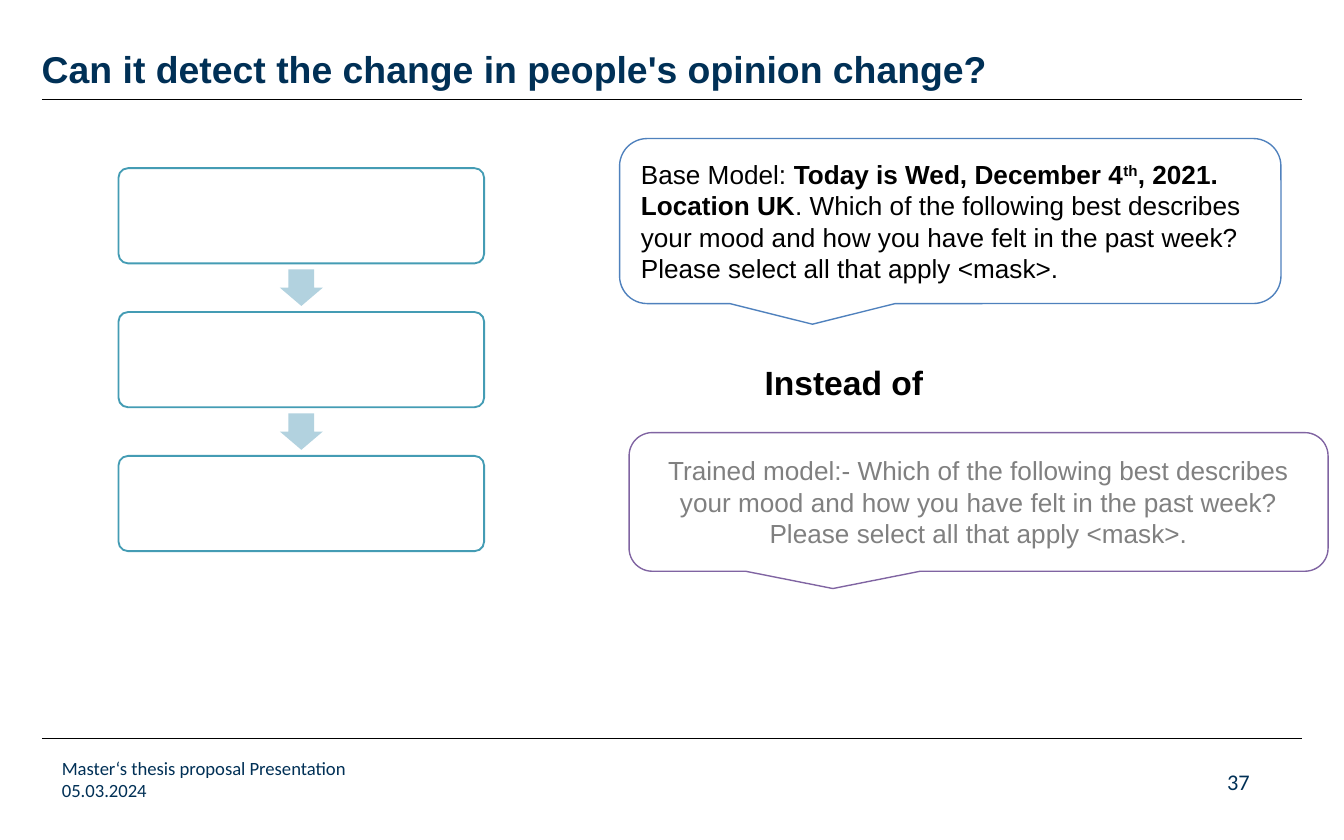
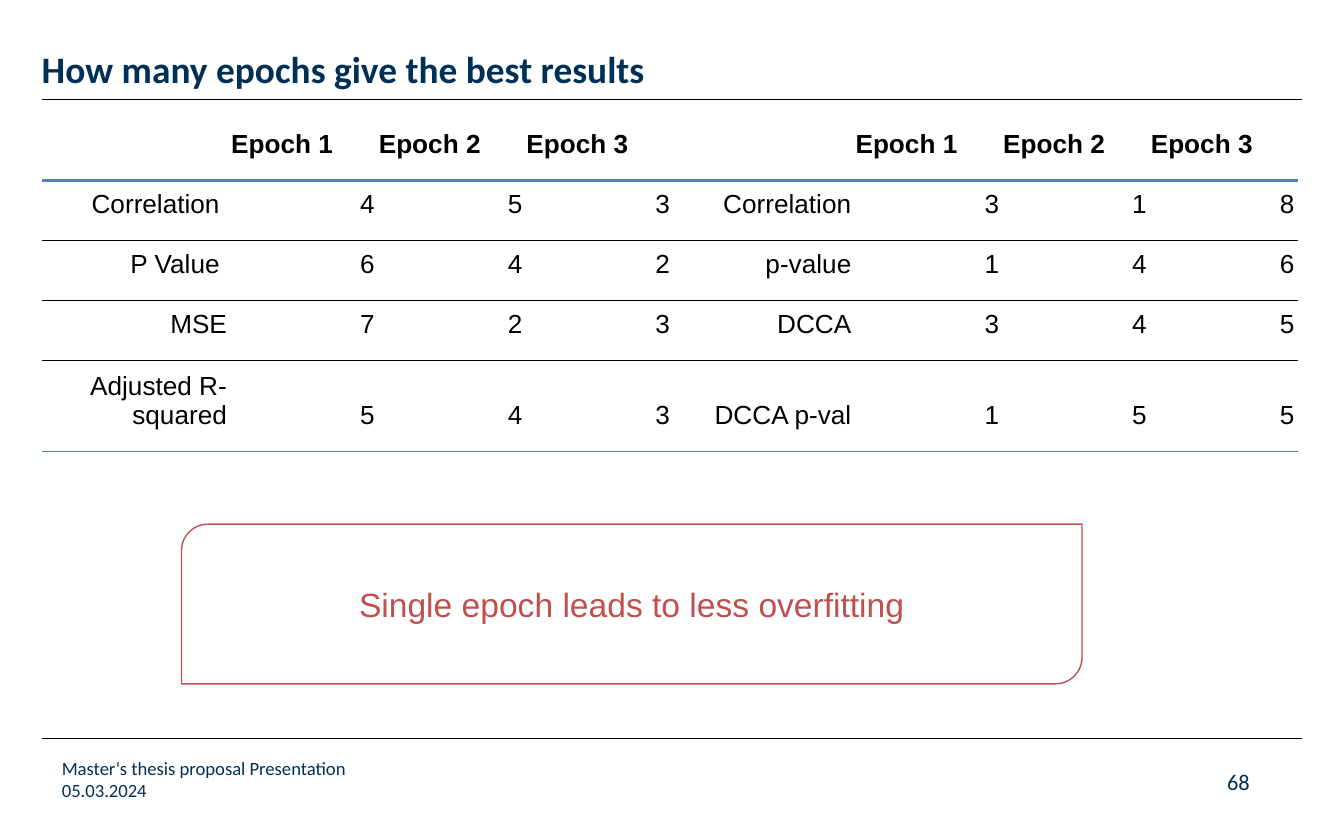
from lxml import etree
from pptx import Presentation
from pptx import util as u
from pptx.dml.color import RGBColor
from pptx.enum import shapes, text
from pptx.oxml.ns import qn

COLORS = {
    "navy": "003056", "black": "000000", "white": "FFFFFF", "grey": "808080",
    "teal": "449CB4", "pale_teal": "B2D2DF", "blue": "4F81BD",
    "purple": "8064A2", "red": "C0504D",
}
LEFT, RIGHT = 0.79, 24.61
RULE_HEIGHTS = (1.88, 13.97)
NO_STYLE = "{2D5ABB26-0587-4C30-8999-92F81FD0307C}"
ALIGN = text.PP_ALIGN
ANCHOR = text.MSO_ANCHOR
SHAPE = shapes.MSO_SHAPE

QUESTION = ("Which of the following best describes your mood and how you have felt "
            "in the past week? Please select all that apply <mask>.")
EPOCHS = ["Epoch 1", "Epoch 2", "Epoch 3"]
RESULTS = [
    ["", *EPOCHS, "", *EPOCHS],
    ["Correlation ", 4, 5, 3, "Correlation", 3, 1, 8],
    ["P Value ", 6, 4, 2, "p-value", 1, 4, 6],
    ["MSE", 7, 2, 3, "DCCA", 3, 4, 5],
    ["Adjusted R-squared", 5, 4, 3, "DCCA p-val", 1, 5, 5],
]
COLUMN_WIDTHS = [3.58, 2.79, 2.79, 2.79, 3.43, 2.79, 2.79, 2.79]
ROW_HEIGHTS = [1.3, 1.08, 1.08, 1.08, 1.64]


def rgb(color):
    return RGBColor.from_string(COLORS[color])


def cm(*lengths):
    return [u.Cm(length) for length in lengths]


def style(para, size, color, font="Arial", bold=None, align=ALIGN.LEFT):
    para.alignment = align
    para.font.name = font
    para.font.size = u.Pt(size)
    para.font.bold = bold
    para.font.color.rgb = rgb(color)


def add_text(page, place, words, size, color, wrap=True, anchor=ANCHOR.TOP,
             inset=0, **look):
    box = page.shapes.add_textbox(*cm(*place))
    frame = box.text_frame
    frame.word_wrap = wrap
    frame.vertical_anchor = anchor
    if inset is not None:
        frame.margin_left = frame.margin_right = u.Cm(inset)
        frame.margin_top = frame.margin_bottom = u.Cm(inset)
    para = frame.paragraphs[0]
    para.text = words
    style(para, size, color, **look)
    return para


def add_shape(page, kind, place, fill=None, line=None, width=0.75):
    shape = page.shapes.add_shape(kind, *cm(*place))
    shape.shadow.inherit = False
    if fill:
        shape.fill.solid()
        shape.fill.fore_color.rgb = rgb(fill)
    else:
        shape.fill.background()
    if line:
        shape.line.color.rgb = rgb(line)
        shape.line.width = u.Pt(width)
    else:
        shape.line.fill.background()
    return shape


def add_outlined_text(page, kind, place, line, spans, size, color, align=ALIGN.CENTER):
    """Spans are (words, bold, superscript) triples."""
    shape = add_shape(page, kind, place, line=line)
    shape.text_frame.vertical_anchor = ANCHOR.MIDDLE
    para = shape.text_frame.paragraphs[0]
    style(para, size, color, align=align)
    for words, bold, superscript in spans:
        span = para.add_run()
        span.text = words
        span.font.bold = bold
        if superscript:
            span._r.get_or_add_rPr().set("baseline", "30000")


def add_rule(page, top):
    rule = page.shapes.add_connector(shapes.MSO_CONNECTOR.STRAIGHT,
                                     *cm(LEFT, top, RIGHT, top))
    rule.line.color.rgb = rgb("black")
    rule.line.width = u.Pt(0.5)
    etree.SubElement(rule._element.spPr, qn("a:effectLst"))


def add_page(deck, title, number, title_font):
    page = deck.slides.add_slide(deck.slide_layouts[6])
    for top in RULE_HEIGHTS:
        add_rule(page, top)
    add_text(page, (19.71, 14.53, 3.91, 0.51), str(number), 12, "navy",
             font="Calibri", align=ALIGN.RIGHT)
    add_text(page, (1.17, 14.73, 7.9, 0.51), "05.03.2024", 10, "navy", font="Calibri")
    add_text(page, (1.17, 14.3, 10.72, 0.51), "Master‘s thesis proposal Presentation",
             10, "navy", font="Calibri")
    heading = add_text(page, (LEFT, 0.46, 23.8, 1.27), title, 20, "navy",
                       anchor=ANCHOR.BOTTOM, font=title_font, bold=True)
    heading.line_spacing = 0.9
    return page


def add_step_chain(page, count):
    left, top, width, height, pitch = 2.24, 3.18, 6.91, 1.8, 2.72
    arrow_length, arrow_width = 0.69, 0.81
    for step in range(count):
        step_top = top + step * pitch
        box = add_shape(page, SHAPE.ROUNDED_RECTANGLE, (left, step_top, width, height),
                        fill="white", line="teal", width=1)
        box.adjustments[0] = 0.1
        if step < count - 1:
            middle = step_top + (height + pitch) / 2
            arrow = add_shape(page, SHAPE.RIGHT_ARROW,
                              (left + (width - arrow_length) / 2, middle - arrow_width / 2,
                               arrow_length, arrow_width), fill="pale_teal")
            arrow.rotation = 90
            arrow.adjustments[0] = 0.6


def add_bottom_border(cell, color, width):
    border = etree.SubElement(cell._tc.get_or_add_tcPr(), qn("a:lnB"), w=str(u.Pt(width)))
    fill = etree.SubElement(border, qn("a:solidFill"))
    etree.SubElement(fill, qn("a:srgbClr"), val=COLORS[color])


def add_results_table(page):
    frame = page.shapes.add_table(
        len(RESULTS), len(COLUMN_WIDTHS),
        *cm(LEFT, 2.11, sum(COLUMN_WIDTHS), sum(ROW_HEIGHTS)))
    table = frame.table
    table.first_row = table.horz_banding = False
    table._tbl.tblPr.find(qn("a:tableStyleId")).text = NO_STYLE
    for column, width in zip(table.columns, COLUMN_WIDTHS):
        column.width = u.Cm(width)
    for row, height in zip(table.rows, ROW_HEIGHTS):
        row.height = u.Cm(height)
    borders = [("blue", 1.5)] + [("black", 0.25)] * (len(RESULTS) - 2) + [("blue", 1)]
    for r, (values, border) in enumerate(zip(RESULTS, borders)):
        header = r == 0
        for c, value in enumerate(values):
            cell = table.cell(r, c)
            add_bottom_border(cell, *border)
            cell.fill.background()
            cell.vertical_anchor = ANCHOR.BOTTOM
            cell.margin_left = 0
            cell.margin_top = u.Cm(0.08 if header else 0.13)
            cell.margin_right = u.Cm(0.08)
            cell.margin_bottom = u.Cm(0.41)
            para = cell.text_frame.paragraphs[0]
            para.text = str(value)
            style(para, 14, "black", bold=header,
                  align=ALIGN.LEFT if header else ALIGN.RIGHT)


def build_opinion_page(deck):
    page = add_page(deck, "Can it detect the change in people's opinion change?", 37, "Arial")
    add_step_chain(page, 3)
    add_outlined_text(
        page, SHAPE.ROUNDED_RECTANGULAR_CALLOUT, (11.71, 2.62, 12.5, 3.12), "blue",
        [("Base Model: ", False, False),
         ("Today is Wed, December 4", True, False),
         ("th", True, True),
         (", 2021. Location UK", True, False),
         (". " + QUESTION, False, False)],
        14, "black", align=ALIGN.LEFT)
    add_outlined_text(
        page, SHAPE.ROUNDED_RECTANGULAR_CALLOUT, (11.89, 8.18, 13.21, 2.62), "purple",
        [("Trained model:- " + QUESTION, False, False)], 14, "grey")
    add_text(page, (14.2, 6.71, 3.53, 1.02), "Instead of", 18, "black",
             wrap=False, inset=None, bold=True)


def build_epochs_page(deck):
    page = add_page(deck, "How many epochs give the best results", 68, "Calibri")
    add_results_table(page)
    add_outlined_text(
        page, SHAPE.ROUND_2_DIAG_RECTANGLE, (3.43, 9.91, 17.02, 3.02), "red",
        [("Single epoch leads to less overfitting", False, False)], 18, "red")


def main():
    deck = Presentation()
    deck.slide_width, deck.slide_height = cm(25.4, 15.88)
    build_opinion_page(deck)
    build_epochs_page(deck)
    deck.save("out.pptx")


if __name__ == "__main__":
    main()
